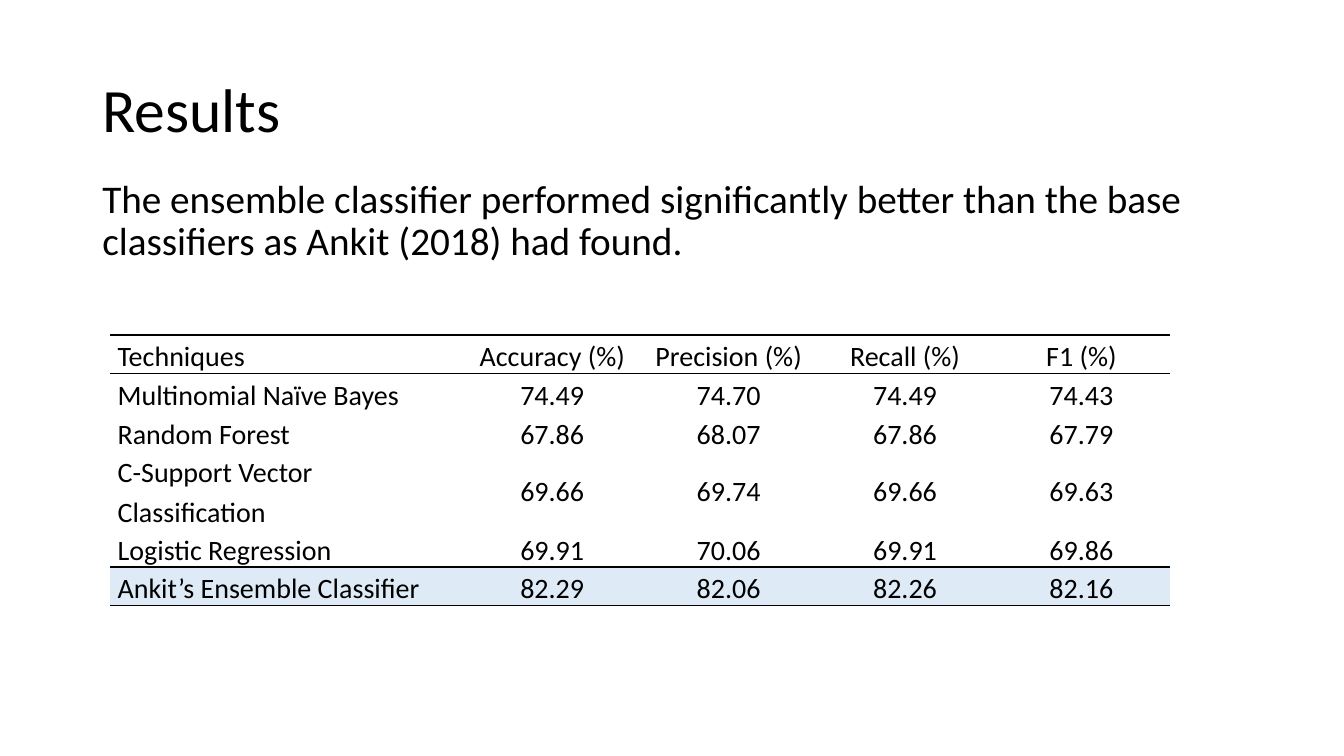
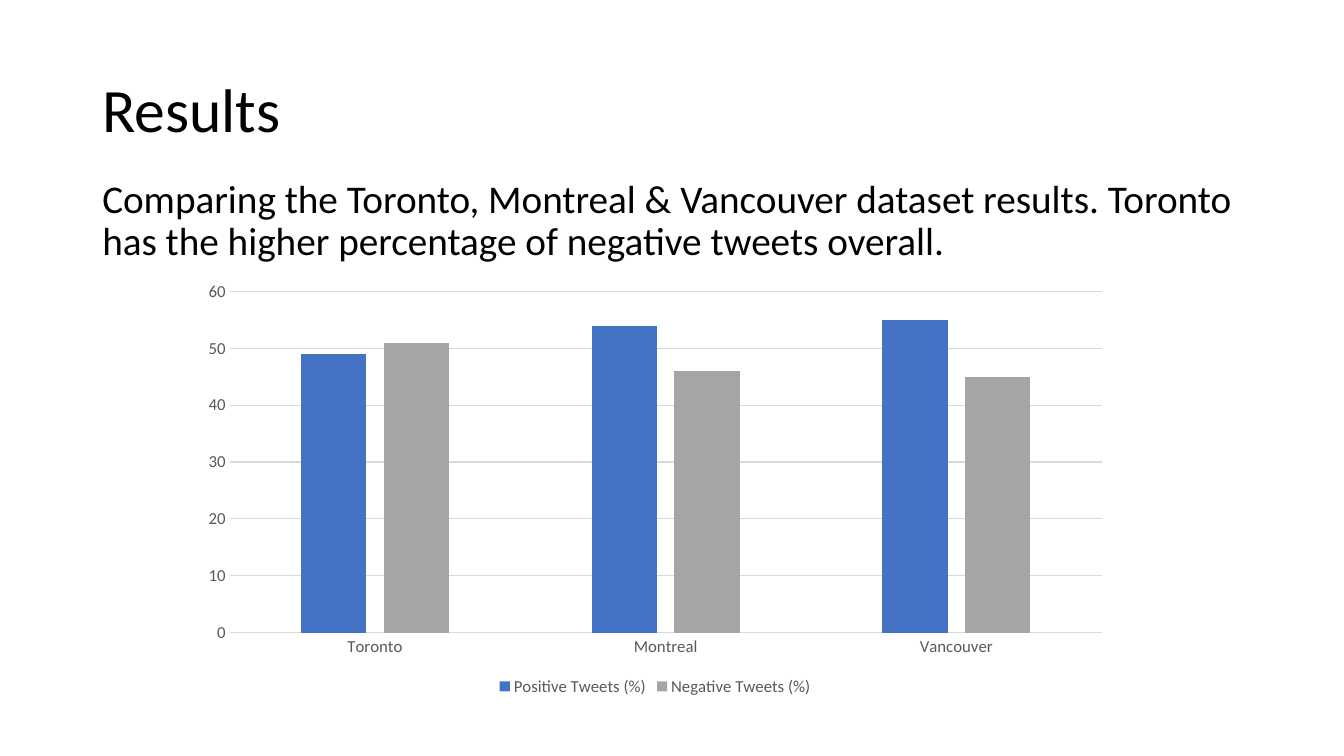
from lxml.etree import SubElement
from pptx import Presentation
from pptx.chart.data import CategoryChartData as Data
from pptx.dml.color import RGBColor
from pptx.enum.chart import XL_CHART_TYPE as Kind, XL_LEGEND_POSITION as Spot, XL_TICK_MARK as Tick
from pptx.enum.text import MSO_ANCHOR as Anchor, PP_ALIGN as Align
from pptx.oxml.ns import qn
from pptx.util import Pt

FONT = "Calibri"
INK, GRAY, RULE, TINT = "000000", "595959", "D9D9D9", "DEEBF7"
BLUE, SILVER = "4472C4", "A5A5A5"
PLAIN = "{2D5ABB26-0587-4C30-8999-92F81FD0307C}"
TITLE = (88, 38, 1104, 139)
BODY = (88, 166, 1104, 457)
GRID = (105, 319, 1009, 162)
PLOT = (181, 260, 886, 407)

ROWS = [
    ("Techniques", "Accuracy (%)", "Precision (%)", "Recall (%)", "F1 (%)"),
    ("Multinomial Naïve Bayes", "74.49", "74.70", "74.49", "74.43"),
    ("Random Forest", "67.86", "68.07", "67.86", "67.79"),
    ("C-Support Vector Classification", "69.66", "69.74", "69.66", "69.63"),
    ("Logistic Regression", "69.91", "70.06", "69.91", "69.86"),
    ("Ankit’s Ensemble Classifier", "82.29", "82.06", "82.26", "82.16"),
]
CITIES = ("Toronto", "Montreal", "Vancouver")
TWEETS = [
    ("Positive Tweets (%)", (49, 54, 55), BLUE),
    ("Negative Tweets (%)", (51, 46, 45), SILVER),
]


def px(num):
    """Turn pixels into EMU."""
    return num * 9525


def tint(code):
    """Turn a hex string into a colour."""
    return RGBColor.from_string(code)


def apply(item, **vals):
    """Set attributes from format values."""
    for key, val in vals.items():
        setattr(item, key, val)


def style(font, size, code):
    """Give a font the deck's face, a size and a colour."""
    apply(font, name=FONT, size=Pt(size))
    font.color.rgb = tint(code)


def write(frame, text, size, **vals):
    """Write one formatted paragraph into a text frame."""
    para = frame.paragraphs[0]
    run = para.add_run()
    run.text = text
    style(run.font, size, INK)
    apply(para, **vals)


def edge(cell, side):
    """Draw a thin rule on one side of a cell."""
    props = cell._tc.get_or_add_tcPr()
    line = SubElement(props, qn("a:" + side), w=str(Pt(1)))
    fill = SubElement(line, qn("a:solidFill"))
    SubElement(fill, qn("a:srgbClr"), val=INK)


def page(deck, title, text):
    """Add a slide with a title and a lead paragraph."""
    slide = deck.slides.add_slide(deck.slide_layouts[5])
    head = slide.shapes.title
    left, top, width, height = map(px, TITLE)
    apply(head, left=left, top=top, width=width, height=height)
    apply(head.text_frame, vertical_anchor=Anchor.MIDDLE, word_wrap=True)
    write(head.text_frame, title, 44, alignment=Align.LEFT, line_spacing=0.9)
    frame = slide.shapes.add_textbox(*map(px, BODY)).text_frame
    frame.word_wrap = True
    write(frame, text, 28, line_spacing=0.9, space_before=Pt(10))
    return slide


def scores(slide, box, rows):
    """Place the table of scores, with its last row shaded."""
    last = len(rows) - 1
    table = slide.shapes.add_table(len(rows), len(rows[0]), *map(px, box)).table
    table._tbl.tblPr.find(qn("a:tableStyleId")).text = PLAIN
    apply(table, first_row=False, horz_banding=False)
    for c, col in enumerate(table.columns):
        col.width = px(box[2] // 6 * (1 if c else 2) + (0 if c else box[2] % 6))
    for r, row in enumerate(rows):
        table.rows[r].height = px(box[3] // len(rows))
        for c, text in enumerate(row):
            cell = table.cell(r, c)
            apply(cell, vertical_anchor=Anchor.MIDDLE, margin_left=px(7),
                  margin_right=px(7), margin_top=0, margin_bottom=0)
            write(cell.text_frame, text, 20, line_spacing=1.15,
                  alignment=Align.CENTER if c else Align.LEFT)
            if r == 0:
                edge(cell, "lnT")
            if r in (0, last - 1, last):
                edge(cell, "lnB")
            if r == last:
                cell.fill.solid()
                cell.fill.fore_color.rgb = tint(TINT)
            else:
                cell.fill.background()


def rule(line):
    """Format a chart line as a pale rule."""
    line.color.rgb = tint(RULE)
    line.width = Pt(0.75)


def bars(slide, box, cats, sets):
    """Place the clustered column chart."""
    data = Data(number_format="0")
    data.categories = cats
    for name, vals, _ in sets:
        data.add_series(name, vals)
    chart = slide.shapes.add_chart(Kind.COLUMN_CLUSTERED, *map(px, box), data).chart
    style(chart.font, 10, INK)
    apply(chart, has_title=False, has_legend=True)
    apply(chart.legend, position=Spot.BOTTOM, include_in_layout=False)
    style(chart.legend.font, 12, GRAY)
    plot = chart.plots[0]
    apply(plot, gap_width=219, overlap=-27, vary_by_categories=False)
    for series, (_, _, code) in zip(plot.series, sets):
        series.format.fill.solid()
        series.format.fill.fore_color.rgb = tint(code)
    base, side = chart.category_axis, chart.value_axis
    for axis in (base, side):
        apply(axis, major_tick_mark=Tick.NONE, minor_tick_mark=Tick.NONE)
        style(axis.tick_labels.font, 12, GRAY)
    rule(base.format.line)
    apply(side, minimum_scale=0, maximum_scale=60, major_unit=10)
    side.format.line.fill.background()
    rule(side.major_gridlines.format.line)
    apply(side.tick_labels, number_format="0", number_format_is_linked=False)


def main():
    """Build and save the deck."""
    deck = Presentation()
    apply(deck, slide_width=px(1280), slide_height=px(720))
    slide = page(deck, "Results", "The ensemble classifier performed significantly "
                 "better than the base classifiers as Ankit (2018) had found.")
    scores(slide, GRID, ROWS)
    slide = page(deck, "Results", "Comparing the Toronto, Montreal & Vancouver dataset "
                 "results. Toronto has the higher percentage of negative tweets overall.")
    bars(slide, PLOT, CITIES, TWEETS)
    deck.save("out.pptx")


if __name__ == "__main__":
    main()
